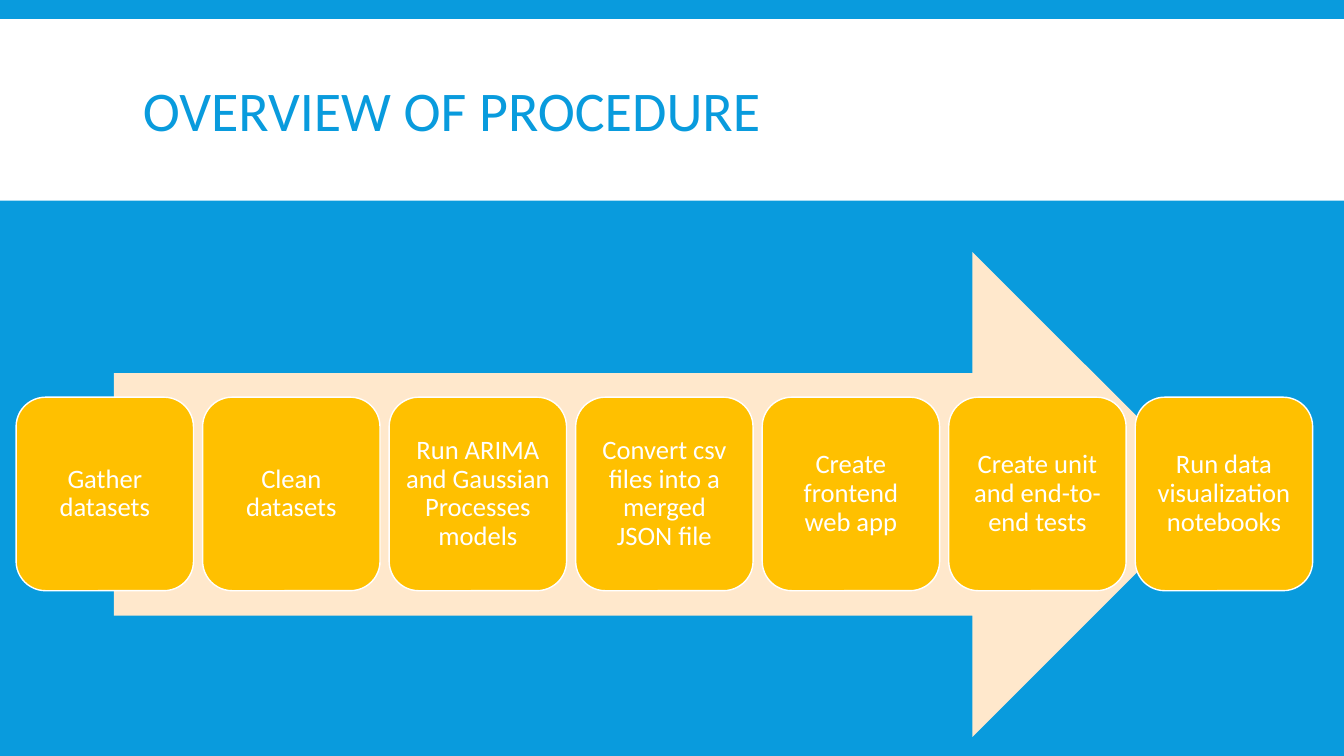
import pptx
import pptx.dml.color
import pptx.enum.shapes
import pptx.enum.text
import pptx.util

TITLE = "OVERVIEW OF PROCEDURE"
STEPS = [
    "Gather datasets",
    "Clean datasets",
    "Run ARIMA and Gaussian Processes models",
    "Convert csv files into a merged JSON file",
    "Create frontend web app",
    "Create unit and end-to-end tests",
    "Run data visualization notebooks",
]
COLORS = {"blue": "099BDD", "white": "FFFFFF", "cream": "FFE8CC", "amber": "FFC000"}
FONT = "Calibri"
STEP_LEFT, STEP_TOP, STEP_WIDTH, STEP_HEIGHT = 0.16, 3.94, 1.76, 1.92
STEP_PITCH = 1.85

Inches = pptx.util.Inches
Pt = pptx.util.Pt
SHAPES = pptx.enum.shapes.MSO_SHAPE
ALIGN = pptx.enum.text.PP_ALIGN


def color(name):
    return pptx.dml.color.RGBColor.from_string(COLORS[name])


def add_block(slide, kind, box, fill, outline=None):
    block = slide.shapes.add_shape(kind, *map(Inches, box))
    block.shadow.inherit = False
    block.fill.solid()
    block.fill.fore_color.rgb = color(fill)
    if outline:
        block.line.color.rgb = color(outline)
        block.line.width = Pt(1)
    else:
        block.line.fill.background()
    return block


def write(holder, text, size, ink, align, spacing, inset_x, inset_y):
    frame = holder.text_frame
    frame.word_wrap = True
    frame.vertical_anchor = pptx.enum.text.MSO_ANCHOR.MIDDLE
    frame.margin_left = frame.margin_right = Inches(inset_x)
    frame.margin_top = frame.margin_bottom = Inches(inset_y)
    paragraph = frame.paragraphs[0]
    paragraph.text = text
    paragraph.alignment = align
    paragraph.line_spacing = spacing
    paragraph.font.name = FONT
    paragraph.font.size = Pt(size)
    paragraph.font.color.rgb = color(ink)


def main():
    deck = pptx.Presentation()
    deck.slide_width, deck.slide_height = Inches(13.33), Inches(7.5)
    slide = deck.slides.add_slide(deck.slide_layouts[6])
    slide.background.fill.solid()
    slide.background.fill.fore_color.rgb = color("blue")

    add_block(slide, SHAPES.RECTANGLE, (0, 0.19, 13.33, 1.8), "white")
    title = slide.shapes.add_textbox(*map(Inches, (1.32, 0.31, 10.7, 1.65)))
    write(title, TITLE, 40, "blue", ALIGN.LEFT, 0.85, 0.1, 0.05)

    add_block(slide, SHAPES.RIGHT_ARROW, (1.13, 2.5, 10.92, 4.81), "cream")
    for index, text in enumerate(STEPS):
        box = (STEP_LEFT + index * STEP_PITCH, STEP_TOP, STEP_WIDTH, STEP_HEIGHT)
        step = add_block(slide, SHAPES.ROUNDED_RECTANGLE, box, "amber", "white")
        write(step, text, 19, "white", ALIGN.CENTER, 0.9, 0.08, 0.08)

    deck.save("out.pptx")


if __name__ == "__main__":
    main()
